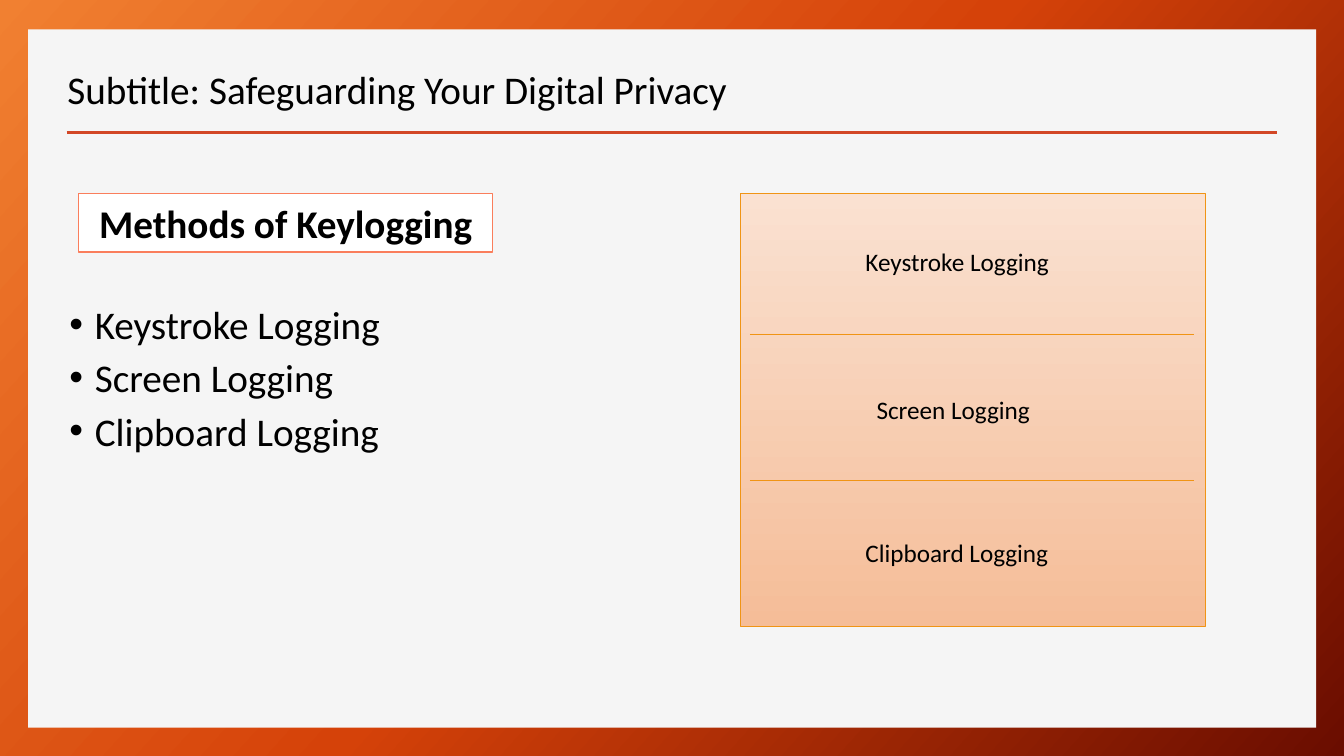
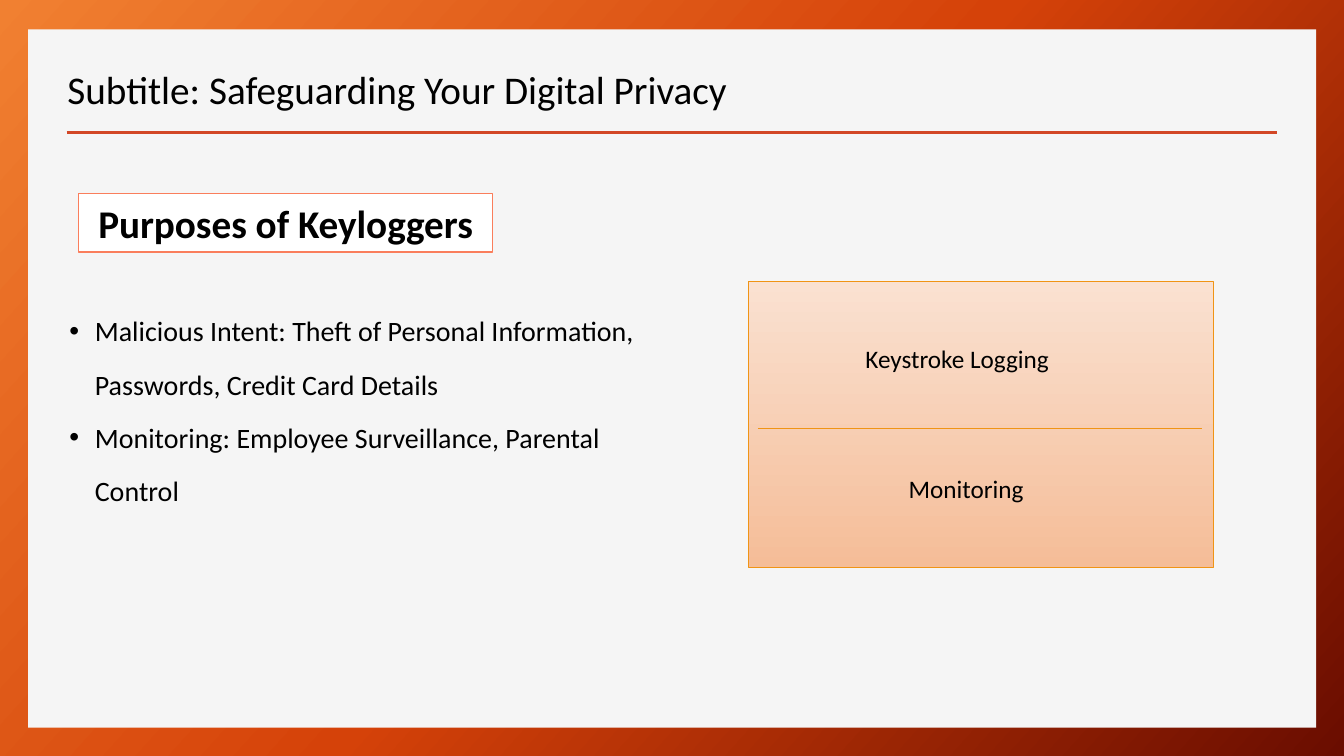
"""Build two slides on keylogging methods and purposes."""
import pptx
import pptx.util
import pptx.dml.color
import pptx.enum.shapes
import pptx.enum.text
import pptx.oxml.ns
import copy
import lxml.etree

Cm = pptx.util.Cm
Pt = pptx.util.Pt
qn = pptx.oxml.ns.qn

HUES = {
    "flame": "F18031", "ember": "D54209", "wine": "6A0D00",
    "paper": "F5F5F5", "rule": "D24726", "ink": "000000",
    "white": "FFFFFF", "coral": "FA7E5C", "gold": "F09415",
    "cream": "FAE1D1", "peach": "F5BD98",
}
FONT = "Calibri"
TITLE = "Subtitle: Safeguarding Your Digital Privacy"

SLIDES = [
    {
        "tag": "Methods of Keylogging",
        "size": 28,
        "points": ["Keystroke Logging", "Screen Logging", "Clipboard Logging"],
        "card": (18.67, 4.88, 11.71, 10.92),
        "rules": [8.43, 12.12],
        "labels": [("Keystroke Logging", 21.56, 6.07),
                   ("Screen Logging", 21.84, 9.8),
                   ("Clipboard Logging", 21.56, 13.41)],
    },
    {
        "tag": "Purposes of Keyloggers",
        "size": 20,
        "points": ["Malicious Intent: Theft of Personal Information, "
                   "Passwords, Credit Card Details",
                   "Monitoring: Employee Surveillance, Parental Control"],
        "card": (18.87, 7.09, 11.71, 7.21),
        "rules": [10.8],
        "labels": [("Keystroke Logging", 21.56, 8.53),
                   ("Monitoring", 22.65, 11.81)],
    },
]


def tint(name):
    return pptx.dml.color.RGBColor.from_string(HUES[name])


def blend(fill, node, names, angle):
    fill.gradient()
    fill.gradient_angle = 360 - angle
    stops = next(node.iter(qn("a:gsLst")))
    while len(stops) < len(names):
        stops.append(copy.deepcopy(stops[0]))
    for i, (stop, name) in enumerate(zip(fill.gradient_stops, names)):
        stop.position = i / (len(names) - 1)
        stop.color.rgb = tint(name)


def add_run(para, text, size, bold=False):
    run = para.add_run()
    run.text = text
    run.font.name = FONT
    run.font.size = Pt(size)
    run.font.bold = bold
    run.font.color.rgb = tint("ink")


def add_box(slide, place, fill=None, edge=None, width=0.75):
    kind = pptx.enum.shapes.MSO_SHAPE.RECTANGLE
    box = slide.shapes.add_shape(kind, *map(Cm, place))
    box.shadow.inherit = False
    if fill:
        box.fill.solid()
        box.fill.fore_color.rgb = tint(fill)
    if edge:
        box.line.color.rgb = tint(edge)
        box.line.width = Pt(width)
    else:
        box.line.fill.background()
    return box


def add_rule(slide, left, right, top, hue, width):
    kind = pptx.enum.shapes.MSO_CONNECTOR.STRAIGHT
    rule = slide.shapes.add_connector(kind, Cm(left), Cm(top), Cm(right), Cm(top))
    rule.line.color.rgb = tint(hue)
    rule.line.width = Pt(width)
    lxml.etree.SubElement(rule.element.spPr, qn("a:effectLst"))


def add_frame(slide, place):
    frame = slide.shapes.add_textbox(*map(Cm, place)).text_frame
    frame.word_wrap = True
    return frame


def add_text(slide, place, text, size):
    add_run(add_frame(slide, place).paragraphs[0], text, size)


def add_tag(slide, text):
    box = add_box(slide, (1.98, 4.88, 10.44, 1.47), "white", "coral", 1)
    frame = box.text_frame
    frame.vertical_anchor = pptx.enum.text.MSO_ANCHOR.MIDDLE
    para = frame.paragraphs[0]
    para.alignment = pptx.enum.text.PP_ALIGN.CENTER
    add_run(para, text, 28, True)


def add_points(slide, points, size):
    frame = add_frame(slide, (1.5, 7.29, 15.3, 6))
    for i, text in enumerate(points):
        para = frame.add_paragraph() if i else frame.paragraphs[0]
        props = para._p.get_or_add_pPr()
        props.set("marL", str(Cm(0.64)))
        props.set("indent", str(-Cm(0.64)))
        lxml.etree.SubElement(props, qn("a:buFont"), typeface="Arial")
        lxml.etree.SubElement(props, qn("a:buChar"), char="•")
        para.line_spacing = Pt(38)
        add_run(para, text, size)


def add_card(slide, place, rules, labels):
    card = add_box(slide, place, edge="gold")
    blend(card.fill, card.element, ["cream", "peach"], 90)
    start = place[0] + 0.23
    for top in rules:
        add_rule(slide, start, start + 11.18, top, "gold", 0.75)
    for text, left, top in labels:
        add_text(slide, (left, top, 5.5, 1.02), text, 18)


def add_base(deck):
    slide = deck.slides.add_slide(deck.slide_layouts[6])
    blend(slide.background.fill, slide.element, ["flame", "ember", "wine"], 42)
    add_box(slide, (0.71, 0.74, 32.46, 17.6), "paper")
    add_rule(slide, 1.68, 32.18, 3.33, "rule", 2)
    add_text(slide, (1.45, 1.52, 19.1, 1.4), TITLE, 28)
    return slide


def main():
    deck = pptx.Presentation()
    deck.slide_width = Cm(33.87)
    deck.slide_height = Cm(19.05)
    for page in SLIDES:
        slide = add_base(deck)
        add_points(slide, page["points"], page["size"])
        add_tag(slide, page["tag"])
        add_card(slide, page["card"], page["rules"], page["labels"])
    deck.save("out.pptx")


if __name__ == "__main__":
    main()
